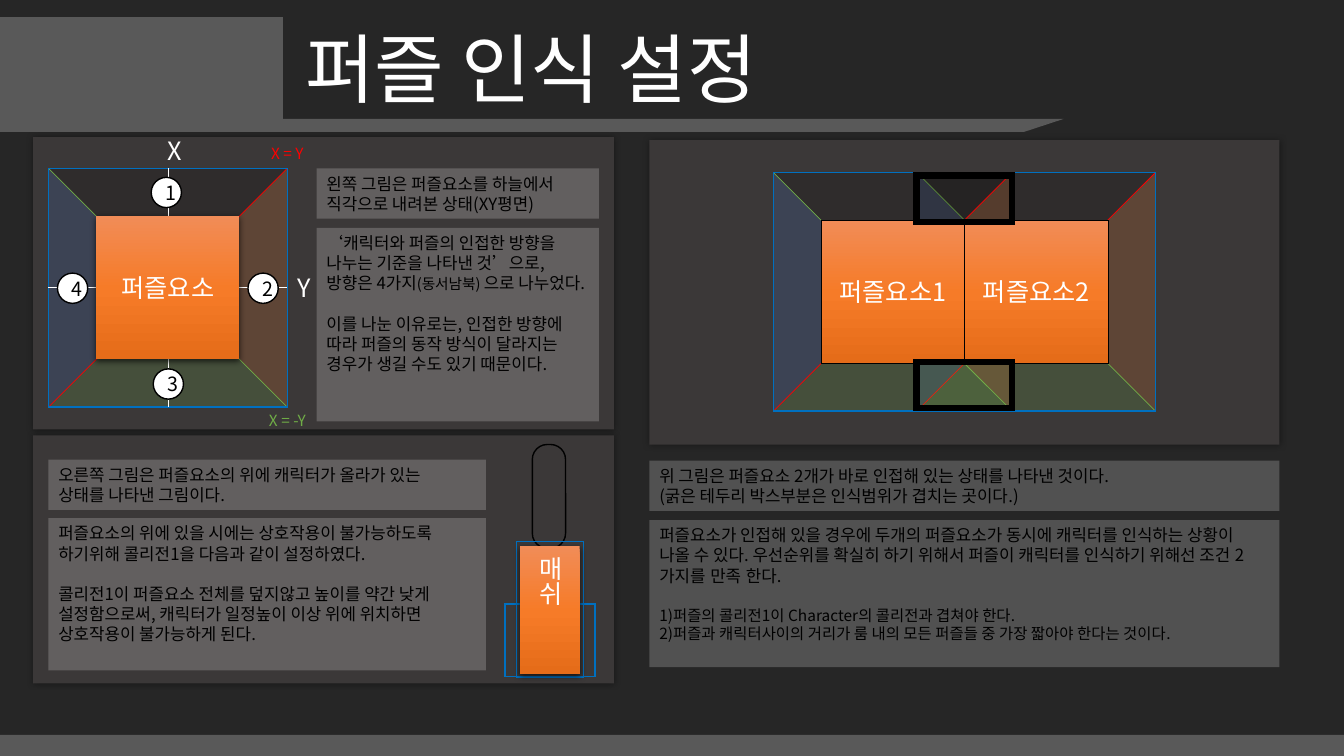
import copy

import pptx
import pptx.dml.color
import pptx.enum.shapes
import pptx.enum.text
import pptx.oxml.ns
import pptx.util
from pptx.util import Inches

FONT = "Noto Sans CJK KR"
COLORS = {
    "back": "262626", "panel": "3B3838", "bar": "595959",
    "white": "FFFFFF", "black": "000000", "frame": "0070C0",
    "red": "FF0000", "green": "70AD47", "blue": "4472C4", "orange": "ED7D31",
    "light": "F18C57", "mid": "F67B28", "dark": "E56C19",
}
SIDE = 2.37  # side of a recognition zone
TILE = SIDE * 0.6
KIND = pptx.enum.shapes.MSO_SHAPE
ALIGN = pptx.enum.text.PP_ALIGN
ANCHOR = pptx.enum.text.MSO_ANCHOR


def rgb(name):
    return pptx.dml.color.RGBColor.from_string(COLORS[name])


def add_tag(parent, tag, **attrs):
    child = parent.makeelement(pptx.oxml.ns.qn(tag), attrs)
    parent.append(child)
    return child


def add_form(slide, box, kind=KIND.RECTANGLE, fill=None, alpha=None,
             line=None, width=1, adj=None, turn=0):
    form = slide.shapes.add_shape(kind, *map(Inches, box))
    form.shadow.inherit = False
    form.rotation = turn
    if adj is not None:
        form.adjustments[0] = adj
    if fill:
        form.fill.solid()
        form.fill.fore_color.rgb = rgb(fill)
        if alpha:
            color = form._element.spPr.find(".//" + pptx.oxml.ns.qn("a:srgbClr"))
            add_tag(color, "a:alpha", val=str(alpha * 1000))
    else:
        form.fill.background()
    if line:
        form.line.color.rgb = rgb(line)
        form.line.width = pptx.util.Pt(width)
        edge = form._element.spPr.find(pptx.oxml.ns.qn("a:ln"))
        add_tag(edge, "a:miter", lim="800000")
    else:
        form.line.fill.background()
    return form


def add_glow(form, alpha, blur, dist=0, angle=0):
    """Give the shape an outer black shadow; blur and dist are in points."""
    effects = form._element.spPr.find(pptx.oxml.ns.qn("a:effectLst"))
    glow = add_tag(effects, "a:outerShdw", blurRad=str(pptx.util.Pt(blur)),
                   dist=str(pptx.util.Pt(dist)), dir=str(angle * 60000),
                   algn="ctr", rotWithShape="0")
    color = add_tag(glow, "a:srgbClr", val=COLORS["black"])
    add_tag(color, "a:alpha", val=str(alpha * 1000))


def style_run(run, size, color, font=FONT):
    run.font.size = pptx.util.Pt(size)
    run.font.color.rgb = rgb(color)
    run.font.name = font
    add_tag(run._r.get_or_add_rPr(), "a:ea", typeface=font)


def set_text(form, text, size, color, align=ALIGN.CENTER, wrap=True):
    frame = form.text_frame
    frame.word_wrap = wrap
    frame.text = text
    para = frame.paragraphs[0]
    para.alignment = align
    para.line_spacing = pptx.util.Pt(size * 1.2)
    style_run(para.runs[0], size, color)


def add_label(slide, box, text, size, color, align=ALIGN.CENTER, wrap=True):
    label = slide.shapes.add_textbox(*map(Inches, box))
    set_text(label, text, size, color, align, wrap)


def add_note(slide, box, *paras):
    """Each paragraph is (gap before, [(text, size, font), ...])."""
    frame = add_form(slide, box, fill="white", alpha=20).text_frame
    frame.word_wrap = True
    frame.margin_right = Inches(0.17)
    frame.vertical_anchor = ANCHOR.TOP
    for i, (gap, parts) in enumerate(paras):
        para = frame.add_paragraph() if i else frame.paragraphs[0]
        para.alignment = ALIGN.LEFT
        para.line_spacing = pptx.util.Pt(parts[0][1] * 1.2)
        if gap:
            para.space_before = pptx.util.Pt(gap)
        for text, size, font in parts:
            run = para.add_run()
            run.text = text
            style_run(run, size, "black", font)


def plain(text, gap=0, size=12):
    return gap, [(text, size, FONT)]


def add_panel(slide, box):
    add_glow(add_form(slide, box, fill="panel"), 40, 5)


def add_tile(slide, box, text, line=None):
    tile = add_form(slide, box, line=line, width=0.25)
    tile.fill.gradient()
    tile.fill.gradient_angle = 270
    stops = tile._element.spPr.find(".//" + pptx.oxml.ns.qn("a:gsLst"))
    stops.insert(1, copy.deepcopy(stops[0]))
    for stop, name, place in zip(tile.fill.gradient_stops,
                                 ("light", "mid", "dark"), (0, 0.5, 1)):
        stop.color.rgb = rgb(name)
        stop.position = place
    if not line:
        add_glow(tile, 63, 4.5, 1.5, 90)
    set_text(tile, text, 18, "white")
    tile.text_frame.vertical_anchor = ANCHOR.MIDDLE
    return tile


def add_line(slide, start, end, color):
    line = slide.shapes.add_connector(
        pptx.enum.shapes.MSO_CONNECTOR.STRAIGHT, *map(Inches, start + end))
    line.line.color.rgb = rgb(color)
    line.line.width = pptx.util.Pt(0.5)
    add_tag(line._element.spPr, "a:effectLst")
    return line


def add_zone(slide, x, y):
    """Four tinted triangles meeting in the middle of a framed square."""
    half, near = SIDE / 2, SIDE / 4
    for dx, dy, turn, color in ((0, -near, 180, "black"), (-near, 0, 90, "blue"),
                                (0, near, 0, "green"), (near, 0, 270, "orange")):
        add_form(slide, (x + dx, y + near + dy, SIDE, half),
                 KIND.ISOSCELES_TRIANGLE, color, 20, turn=turn)
    add_line(slide, (x + SIDE, y), (x, y + SIDE), "red")
    add_line(slide, (x, y), (x + SIDE, y + SIDE), "green")
    return add_form(slide, (x, y, SIDE, SIDE), line="frame")


def add_header(slide):
    skew = KIND.PARALLELOGRAM
    add_form(slide, (-0.01, 0.17, 2.82, 1.14), skew, "bar", adj=0)
    add_form(slide, (2.31, 1.18, 8.24, 0.13), skew, "bar", adj=3.05)
    add_form(slide, (0, 7.29, 13.33, 0.22), fill="bar")
    add_label(slide, (2.93, 0.17, 5.28, 1.01), "퍼즐 인식 설정", 54, "white",
              ALIGN.LEFT, False)


def add_plan(slide):
    x, y = 0.48, 1.67
    zone = add_zone(slide, x, y)
    mid = SIDE / 2
    for start, end, sites in (((x + mid, y), (x + mid, y + SIDE), (0, 2)),
                              ((x, y + mid), (x + SIDE, y + mid), (1, 3))):
        axis = add_line(slide, start, end, "white")
        axis.begin_connect(zone, sites[0])
        axis.end_connect(zone, sites[1])
    add_tile(slide, (x + SIDE * 0.2, y + SIDE * 0.2, TILE, TILE), "퍼즐요소")
    for box, text, size, color in (
            ((1.56, 1.29, 0.22, 0.4), "X", 18, "white"),
            ((2.85, 2.65, 0.27, 0.4), "Y", 18, "white"),
            ((2.49, 4.03, 0.72, 0.29), "X = -Y", 11, "green"),
            ((2.51, 1.38, 0.68, 0.29), "X = Y", 11, "red")):
        add_label(slide, box, text, size, color)
    spots = ((1.5, 1.76), (2.46, 2.71), (1.52, 3.66), (0.57, 2.71))
    for i, spot in enumerate(spots, 1):
        dot = add_form(slide, (*spot, 0.3, 0.3), KIND.OVAL, "white", line="black")
        set_text(dot, str(i), 14, "black")
        dot.text_frame.vertical_anchor = ANCHOR.MIDDLE


def add_mesh(slide):
    add_form(slide, (5.28, 4.41, 0.33, 1.03), KIND.ROUNDED_RECTANGLE,
             line="black", adj=0.45)
    add_form(slide, (5.12, 5.37, 0.67, 1.35), line="frame")
    add_form(slide, (5.01, 5.99, 0.89, 0.72), line="frame")
    mesh = add_tile(slide, (5.16, 5.42, 0.59, 1.27), "매쉬")
    mesh.text_frame._txBody.bodyPr.set("vert", "eaVert")


def add_pair(slide):
    x, y = 7.67, 1.71
    for i in (1, 0):
        add_zone(slide, x + i * TILE, y)
    for i in range(2):
        add_tile(slide, (x + SIDE * 0.2 + i * TILE, y + SIDE * 0.2, TILE, TILE),
                 f"퍼즐요소{i + 1}", "black")
    for top in (1.74, 3.59):
        add_form(slide, (9.09, top, 0.95, 0.46), line="black", width=4.5)


def add_notes(slide):
    add_note(slide, (3.14, 1.67, 2.8, 0.5),
             plain("왼쪽 그림은 퍼즐요소를 하늘에서 직각으로 내려본 상태(XY평면)"))
    add_note(slide, (3.14, 2.26, 2.8, 1.92),
             (0, [("‘캐릭터와 퍼즐의 인접한 방향을 나누는 기준을 나타낸 것’으로, 방향은 4가지", 12, FONT),
                  ("(동서남북) ", 10.5, FONT), ("으로 나누었다.", 12, FONT)]),
             plain("이를 나눈 이유로는, 인접한 방향에 따라 퍼즐의 동작 방식이 달라지는 경우가 생길 수도 있기 때문이다.", 14.4))
    add_note(slide, (0.48, 4.56, 4.34, 0.5),
             plain("오른쪽 그림은 퍼즐요소의 위에 캐릭터가 올라가 있는 상태를 나타낸 그림이다."))
    add_note(slide, (0.48, 5.14, 4.34, 1.51),
             plain("퍼즐요소의 위에 있을 시에는 상호작용이 불가능하도록 하기위해 콜리전1을 다음과 같이 설정하였다."),
             plain("콜리전1이 퍼즐요소 전체를 덮지않고 높이를 약간 낮게 설정함으로써, 캐릭터가 일정높이 이상 위에 위치하면 상호작용이 불가능하게 된다.", 14.4))
    add_note(slide, (6.44, 4.57, 6.25, 0.5),
             plain("위 그림은 퍼즐요소 2개가 바로 인접해 있는 상태를 나타낸 것이다."),
             plain("(굵은 테두리 박스부분은 인식범위가 겹치는 곳이다.)"))
    add_note(slide, (6.44, 5.16, 6.25, 1.46),
             (0, [("퍼즐요소가 인접해 있을 경우에 두개의 퍼즐요소가 동시에 캐릭터를 인식하는 상황이 나올 수 있다. 우선순위를 확실히 하기 위해서 퍼즐이 캐릭터를 인식하기 위해선 조건 2가지", 12, FONT),
                  ("를 만족 ", 12, "Arial"), ("한다.", 12, FONT)]),
             plain("1)퍼즐의 콜리전1이 Character의 콜리전과 겹쳐야 한다.", 14.4, 11),
             plain("2)퍼즐과 캐릭터사이의 거리가 룸 내의 모든 퍼즐들 중 가장 짧아야 한다는 것이다.", 0, 11))


def main():
    deck = pptx.Presentation()
    deck.slide_width, deck.slide_height = Inches(13.33), Inches(7.5)
    slide = deck.slides.add_slide(deck.slide_layouts[6])
    slide.background.fill.solid()
    slide.background.fill.fore_color.rgb = rgb("back")
    for box in ((0.33, 1.36, 5.76, 2.9), (0.33, 4.32, 5.76, 2.46),
                (6.44, 1.39, 6.25, 3.02)):
        add_panel(slide, box)
    add_mesh(slide)
    add_header(slide)
    add_plan(slide)
    add_notes(slide)
    add_pair(slide)
    deck.save("out.pptx")


if __name__ == "__main__":
    main()
